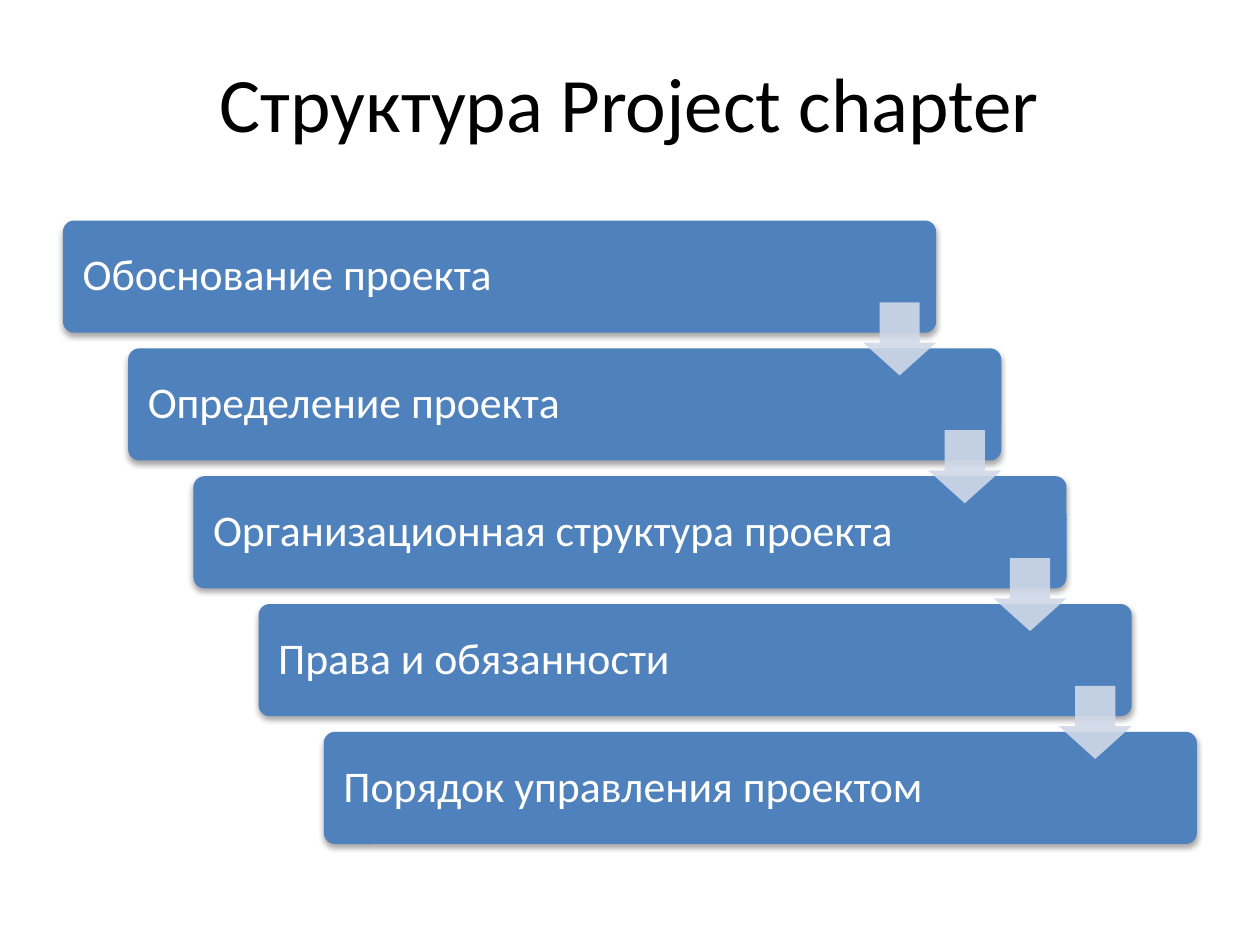
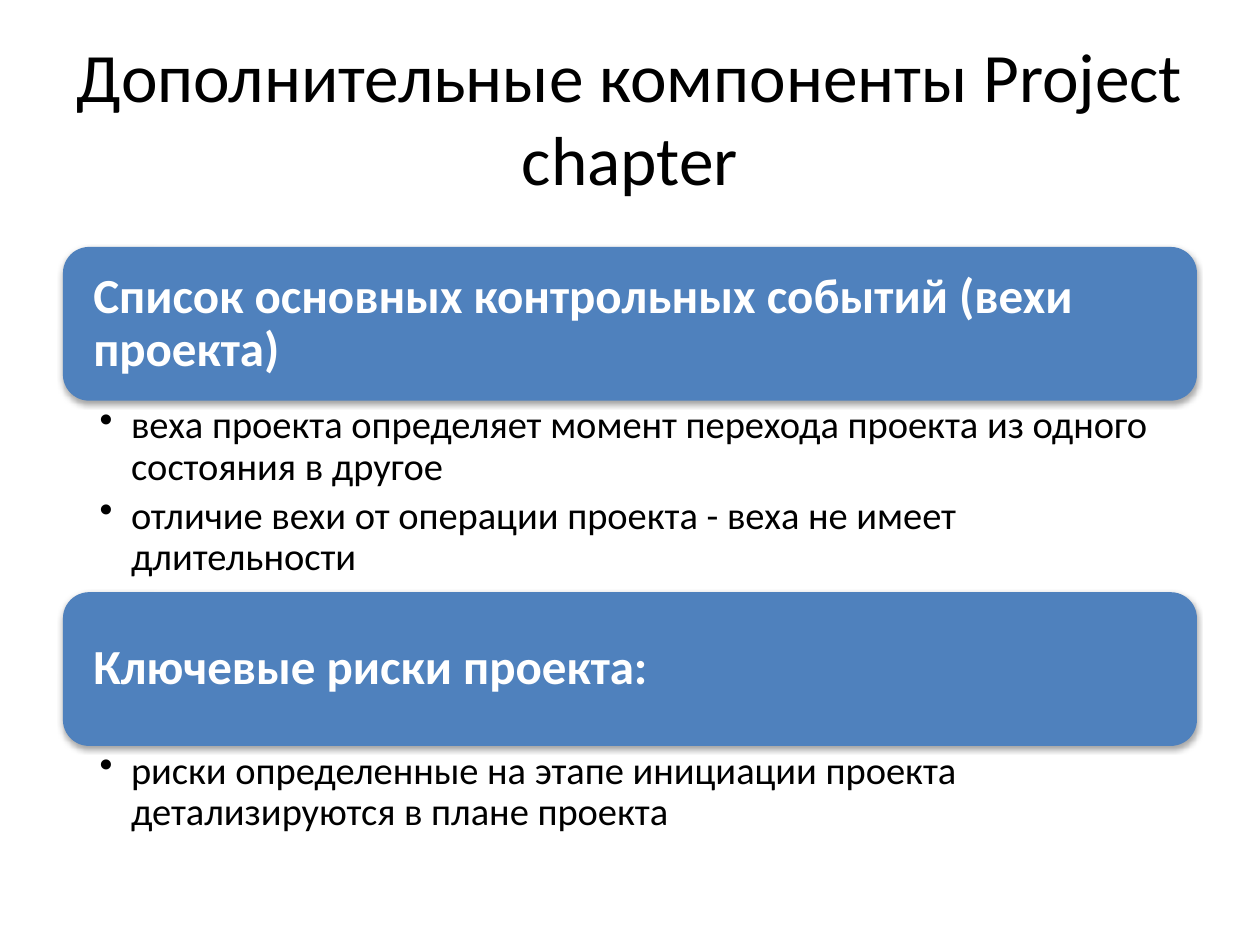
from pptx import Presentation
from pptx import util as u
from pptx.dml.color import RGBColor
from pptx.enum import shapes, text
from pptx.oxml import ns
from lxml import etree

HUES = {"bar": "4F81BD", "arrow": "D0D8E8", "ink": "000000", "light": "FFFFFF"}
FONT = "Calibri"
LEFT, WIDE = 0.5, 9
KIND = shapes.MSO_SHAPE
MID, TOP = text.MSO_ANCHOR.MIDDLE, text.MSO_ANCHOR.TOP

deck = Presentation()
deck.slide_width, deck.slide_height = u.Inches(10), u.Inches(7.5)


def write(box, lines, size, hue, pads, anchor=MID, bold=False, align=text.PP_ALIGN.LEFT, space=0.9):
    frame = box.text_frame
    frame.text = "\n".join(lines)
    frame.word_wrap = True
    frame.vertical_anchor = anchor
    frame.margin_left, frame.margin_top, frame.margin_right, frame.margin_bottom = map(u.Inches, pads)
    for para in frame.paragraphs:
        para.alignment, para.line_spacing = align, space
        for run in para.runs:
            run.font.name, run.font.size, run.font.bold = FONT, u.Pt(size), bold
            run.font.color.rgb = RGBColor.from_string(HUES[hue])
    return frame


def block(page, kind, spot, hue, bends):
    form = page.shapes.add_shape(kind, *map(u.Inches, spot))
    form.fill.solid()
    form.fill.fore_color.rgb = RGBColor.from_string(HUES[hue])
    form.line.fill.background()
    form.shadow.inherit = False
    for n, bend in enumerate(bends):
        form.adjustments[n] = bend
    props = form.element.spPr
    if hue == "bar":
        cast = etree.SubElement(props.find(ns.qn("a:effectLst")), ns.qn("a:outerShdw"),
                                blurRad=str(u.Pt(3.1)), dist=str(u.Pt(1.8)), dir="5400000", rotWithShape="0")
        tone = etree.SubElement(cast, ns.qn("a:srgbClr"), val=HUES["ink"])
        etree.SubElement(tone, ns.qn("a:alpha"), val="35000")
    else:
        tone = props.find(ns.qn("a:solidFill"))[0]
        etree.SubElement(tone, ns.qn("a:alpha"), val="90000")
    return form


pages = []
for title, high, size in [
    ("Структура Project chapter", 1.01, 44),
    ("Дополнительные компоненты Project chapter", 1.25, 39.6),
]:
    page = deck.slides.add_slide(deck.slide_layouts[6])
    head = page.shapes.add_textbox(*map(u.Inches, (LEFT, 0.3, WIDE, high)))
    write(head, [title], size, "ink", (0.1, 0.05, 0.1, 0.05), align=text.PP_ALIGN.CENTER, space=1)
    pages.append(page)
steps, extras = pages

names = [
    "Обоснование проекта",
    "Определение проекта",
    "Организационная структура проекта",
    "Права и обязанности",
    "Порядок управления проектом",
]
first, long, tall, side = 1.75, 6.93, 0.89, 0.58
col = (WIDE - long) / (len(names) - 1)
row = tall * 1.14
for n, name in enumerate(names):
    bar = block(steps, KIND.ROUNDED_RECTANGLE, (LEFT + n * col, first + n * row, long, tall), "bar", [0.1])
    write(bar, [name], 25, "light", [0.13] * 4)
for n in range(len(names) - 1):
    spot = (LEFT + long - side + n * col, first + 0.65 + n * row, side, side)
    block(steps, KIND.DOWN_ARROW, spot, "arrow", [0.55, 0.45])

parts = [
    ("Список основных контрольных событий (вехи проекта)", 1.52, [
        "веха проекта определяет момент перехода проекта из одного состояния в другое",
        "отличие вехи от операции проекта - веха не имеет длительности",
    ]),
    ("Ключевые риски проекта:", 0.76, [
        "риски определенные на этапе инициации проекта детализируются в плане проекта",
    ]),
]
top, tall = 1.96, 1.22
for name, deep, notes in parts:
    bar = block(extras, KIND.ROUNDED_RECTANGLE, (LEFT, top, WIDE, tall), "bar", [0.17])
    write(bar, [name], 28, "light", [0.18] * 4, bold=True)
    top += tall
    body = extras.shapes.add_textbox(*map(u.Inches, (LEFT, top, WIDE, deep)))
    frame = write(body, notes, 22, "ink", (0.29, 0.04, 0.22, 0.04), anchor=TOP)
    for para in frame.paragraphs:
        para.space_after = u.Pt(4)
        props = para._p.get_or_add_pPr()
        props.set("marL", str(u.Inches(0.25)))
        props.set("indent", str(u.Inches(-0.25)))
        etree.SubElement(props, ns.qn("a:buChar"), char="•")
    top += deep

deck.save("out.pptx")
